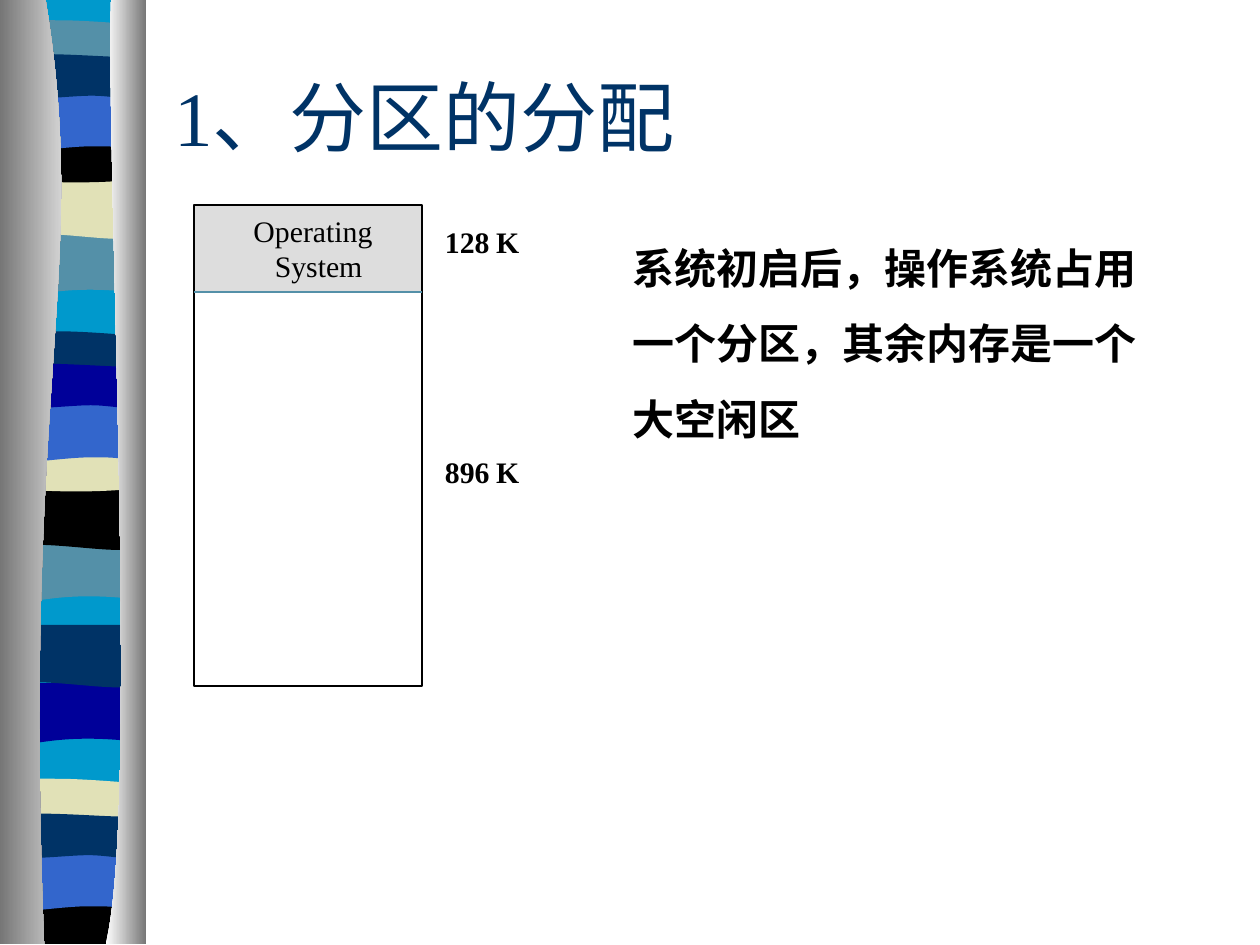
import lxml.etree
import pptx
import pptx.dml.color
import pptx.enum.shapes
import pptx.enum.text
import pptx.oxml
import pptx.oxml.ns
import pptx.util

Cm = pptx.util.Cm
Pt = pptx.util.Pt
qn = pptx.oxml.ns.qn

THEME = {
    "sky": "0099CC", "teal": "5490A8", "sand": "E1E1B7", "black": "000000",
    "blue": "3366CC", "navy": "003366", "indigo": "000099",
    "os": "DDDDDD", "shade": "767676", "white": "FFFFFF",
    "latin": "Times New Roman", "cjk": "Noto Sans CJK SC",
    "title": 44, "body": 24, "label": 17, "line": 1,
}

TITLE = "1、分区的分配"
BODY = "系统初启后，操作系统占用一个分区，其余内存是一个大空闲区"
# text, left, top, width, bold
LABELS = [
    ("Operating", 5.11, 4.29, 2.41, False),
    ("System", 5.54, 5.0, 1.78, False),
    ("128", 8.97, 4.52, 1.04, True), ("K", 10.0, 4.52, 0.48, True),
    ("896", 8.97, 9.14, 1.04, True), ("K", 10.0, 9.14, 0.48, True),
]

# Outlines in cm: a start point, then lines (one point) and curves (three points)
W = 2.69
OUTLINES = {
    "dip": [(W, 0), [(W, 1.19)], [(0.84, 0.97), (0.46, 1.37), (0, 1.19)], [(0, 0)]],
    "wave": [(W, 0), [(W, 1.19)], [(2.26, 1.4), (0.84, 1.04), (0, 1.19)], [(0, 0)]],
    "crest": [(W, 0.13), [(W, 0.76)], [(2.26, 0.86), (0.46, 0.86), (0, 0.76)],
              [(0, 0.13)], [(0.18, 0), (0.61, 0.03), (1.04, 0.03)],
              [(1.5, 0.03), (2.36, 0.1), (W, 0.13)]],
    "bowl": [(W, 0), [(W, 0.84)], [(2.26, 0.97), (0.46, 0.97), (0, 0.84)],
             [(0, 0)], [(1.68, 0.13), (2.13, 0), (W, 0)]],
    "arch": [(W, 0), [(W, 1.19)], [(2.26, 1.07), (2.11, 1.07), (1.65, 1.07)],
             [(1.19, 1.07), (0.41, 1.19), (0, 1.19)], [(0, 0)]],
    "swell": [(W, 0.13), [(W, 0.91)], [(2.51, 1.04), (2.11, 0.91), (1.65, 0.91)],
              [(1.19, 0.91), (0.28, 1.04), (0, 0.91)], [(0, 0.13)],
              [(0.38, 0), (1.83, 0.13), (2.29, 0.13)],
              [(2.72, 0.13), (2.59, 0.13), (W, 0.13)]],
    "end": [(W, 0), [(W, 0.95)], [(0, 0.95)], [(0, 0)],
            [(1.68, 0.13), (2.13, 0), (W, 0)]],
    "strip": [(W, 0), [(W, 18.97)], [(0, 18.97)], [(0, 0)]],
    "left edge": [(0.92, 0), [(1.82, 5.49), (0.44, 7.52), (0.89, 19.03)],
                  [(0, 19.03)], [(0, 0)]],
    "right edge": [(2.24, 0), [(2.13, 3.18), (2.82, 16.41), (2.13, 19.03)],
                   [(2.95, 19.03)], [(2.95, 0)]],
}
# outline, colour, left, top
BANDS = [
    ("strip", "sky", 0.2, 0),
    ("dip", "teal", 0.18, 4.72), ("wave", "sand", 0.2, 3.56),
    ("crest", "teal", 0.2, 0.38), ("bowl", "black", 0.18, 2.74),
    ("arch", "blue", 0.2, 1.88), ("swell", "navy", 0.2, 1.02),
    ("dip", "teal", 0.15, 10.9), ("wave", "black", 0.18, 9.83),
    ("crest", "navy", 0.18, 6.65), ("bowl", "sand", 0.18, 8.97),
    ("arch", "blue", 0.18, 8.15), ("swell", "indigo", 0.18, 7.26),
    ("dip", "indigo", 0.13, 13.77), ("wave", "navy", 0.15, 12.6),
    ("crest", "sand", 0.15, 15.67), ("end", "black", 0.13, 18.08),
    ("arch", "blue", 0.13, 17.2), ("swell", "navy", 0.13, 16.33),
]
EDGES = [("left edge", "shade", "white"), ("right edge", "white", "shade")]


def rgb(name):
    return pptx.dml.color.RGBColor.from_string(THEME[name])


def add_outline(slide, name, left=0, top=0):
    """Build a freeform, then turn each run of three control points into a curve."""
    start, *segments = OUTLINES[name]
    points = [(Cm(left + x), Cm(top + y)) for x, y in [start, *sum(segments, [])]]
    builder = slide.shapes.build_freeform(*points[0])
    builder.add_line_segments(points[1:], close=True)
    s = builder.convert_to_shape()
    s.shadow.inherit = False
    s.line.fill.background()
    lines = iter(list(s.element.iter(qn("a:lnTo"))))
    for segment in segments:
        nodes = [next(lines) for _ in segment]
        if len(nodes) == 3:
            curve = lxml.etree.Element(qn("a:cubicBezTo"))
            nodes[0].addprevious(curve)
            for node in nodes:
                curve.append(node[0])
                node.getparent().remove(node)
    return s


def add_ribbon(slide, master):
    """Draw the side ribbon and hand it over to the master."""
    ribbon = []
    for name, colour, left, top in BANDS:
        s = add_outline(slide, name, left, top)
        s.fill.solid()
        s.fill.fore_color.rgb = rgb(colour)
        ribbon.append(s)
    for name, *colours in EDGES:
        s = add_outline(slide, name)
        s.fill.gradient()
        s.fill.gradient_angle = 0
        for stop, colour in zip(s.fill.gradient_stops, colours):
            stop.color.rgb = rgb(colour)
        ribbon.append(s)
    for number, s in enumerate(ribbon, 101):
        s.element.nvSpPr.cNvPr.set("id", str(number))
        master.shapes.element.append(s.element)


def add_memory_map(slide):
    left, top, width, height, os_height = 3.91, 4.14, 4.6, 9.69, 1.75
    rect = pptx.enum.shapes.MSO_SHAPE.RECTANGLE
    system = slide.shapes.add_shape(rect, Cm(left), Cm(top), Cm(width), Cm(os_height))
    system.fill.solid()
    system.fill.fore_color.rgb = rgb("os")
    system.line.fill.background()
    frame = slide.shapes.add_shape(rect, Cm(left), Cm(top), Cm(width), Cm(height))
    frame.fill.background()
    frame.line.color.rgb = rgb("black")
    frame.line.width = Pt(THEME["line"])
    for s in (system, frame):
        s.shadow.inherit = False
    y = Cm(top + os_height)
    divider = slide.shapes.add_connector(
        pptx.enum.shapes.MSO_CONNECTOR.STRAIGHT, Cm(left), y, Cm(left + width), y)
    divider.line.color.rgb = rgb("teal")
    divider.line.width = Pt(THEME["line"])
    divider.element.spPr.append(pptx.oxml.parse_xml(
        "<a:effectLst %s/>" % pptx.oxml.ns.nsdecls("a")))


def write(sp, text, size, colour="black", latin="latin", bold=False):
    tf = sp.text_frame
    tf.text = text
    tf.vertical_anchor = pptx.enum.text.MSO_ANCHOR.TOP
    tf.auto_size = pptx.enum.text.MSO_AUTO_SIZE.NONE
    p = tf.paragraphs[0]
    p.alignment = pptx.enum.text.PP_ALIGN.LEFT
    r = p.runs[0]
    r.font.name = THEME[latin]
    r.font.size = Pt(THEME[size])
    r.font.bold = bold
    r.font.color.rgb = rgb(colour)
    r.font._element.find(qn("a:latin")).addnext(pptx.oxml.parse_xml(
        '<a:ea %s typeface="%s"/>' % (pptx.oxml.ns.nsdecls("a"), THEME["cjk"])))
    return tf


def add_texts(slide):
    for text, left, top, width, bold in LABELS:
        sp = slide.shapes.add_textbox(Cm(left), Cm(top), Cm(width), Cm(0.71))
        tf = write(sp, text, "label", bold=bold)
        tf.word_wrap = False
        tf.margin_left = tf.margin_right = tf.margin_top = tf.margin_bottom = 0
    title = slide.shapes.title
    title.left, title.top, title.width, title.height = Cm(3.26), Cm(1.27), Cm(21.59), Cm(2.97)
    write(title, TITLE, "title", "navy")
    body = slide.shapes.add_textbox(Cm(12.5), Cm(4.25), Cm(11.4), Cm(4.83))
    tf = write(body, BODY, "body", latin="cjk", bold=True)
    tf.word_wrap = True
    tf.paragraphs[0].line_spacing = 1.5


def main():
    prs = pptx.Presentation()
    prs.slide_width, prs.slide_height = Cm(25.4), Cm(19.05)
    slide = prs.slides.add_slide(prs.slide_layouts[5])
    add_ribbon(slide, prs.slide_master)
    add_memory_map(slide)
    add_texts(slide)
    prs.save("out.pptx")


if __name__ == "__main__":
    main()
